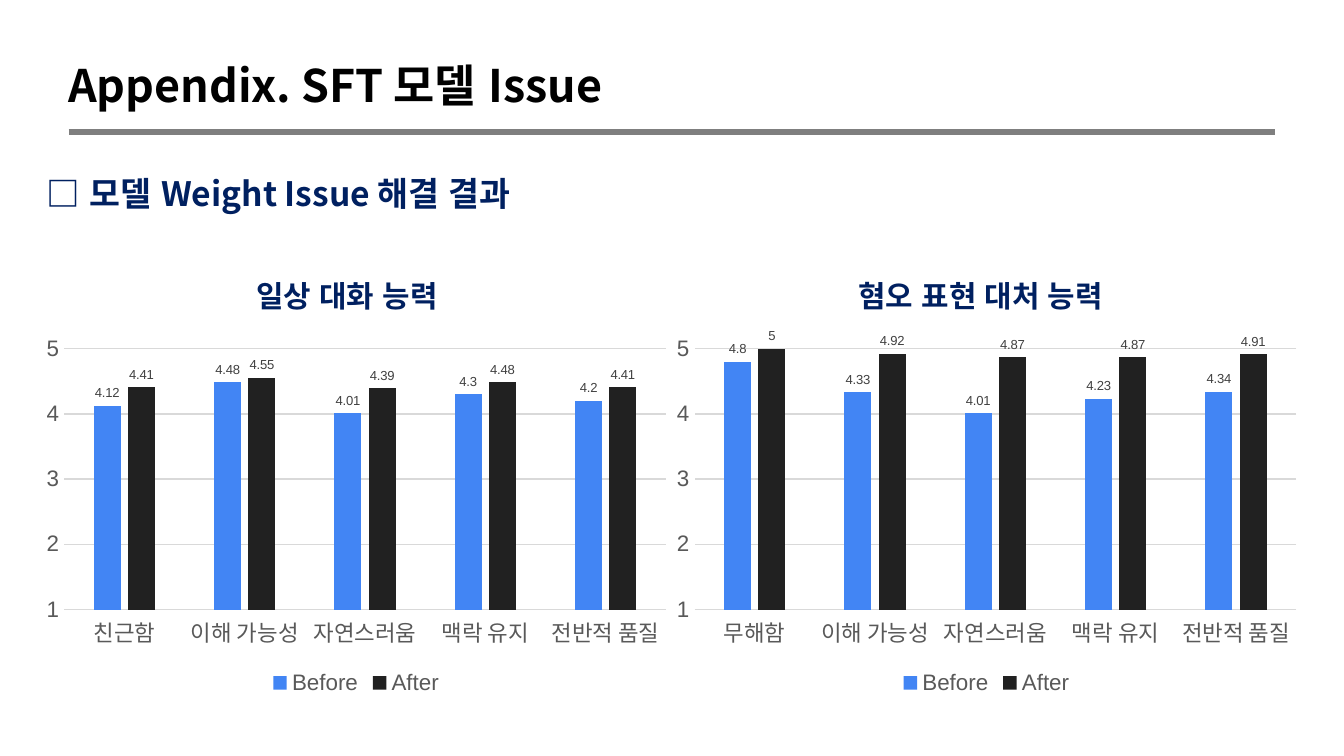
from dataclasses import dataclass

from lxml import etree
from pptx import Presentation, util as u
from pptx.chart.data import CategoryChartData
from pptx.dml.color import RGBColor
from pptx.enum import chart as ch, lang, shapes, text
from pptx.oxml import ns

Inches, Pt = u.Inches, u.Pt


@dataclass(frozen=True)
class Theme:
    korean_font: str = "Noto Sans CJK KR"
    chart_font: str = "Arial"
    black: RGBColor = RGBColor(0, 0, 0)
    navy: RGBColor = RGBColor(0x00, 0x20, 0x60)
    rule: RGBColor = RGBColor(0x7F, 0x7F, 0x7F)
    grid: RGBColor = RGBColor(0xD9, 0xD9, 0xD9)
    axis_text: RGBColor = RGBColor(0x59, 0x59, 0x59)
    label_text: RGBColor = RGBColor(0x40, 0x40, 0x40)
    before: RGBColor = RGBColor(0x42, 0x85, 0xF4)
    after: RGBColor = RGBColor(0x21, 0x21, 0x21)
    title_size: int = 24
    heading_size: int = 18
    chart_title_size: int = 16
    axis_size: int = 12
    chart_size: int = 10
    label_size: int = 7


theme = Theme()
prs = Presentation()
# Widescreen, 16:9
prs.slide_width, prs.slide_height = Inches(10), Inches(10 * 9 / 16)
slide = prs.slides.add_slide(prs.slide_layouts[6])


def add_text(content, left, top, width, height, *, size, color,
             spacing=1.0, inset=0.05):
    box = slide.shapes.add_textbox(Inches(left), Inches(top), Inches(width), Inches(height))
    frame = box.text_frame
    frame.word_wrap = True
    frame.auto_size = text.MSO_AUTO_SIZE.SHAPE_TO_FIT_TEXT
    frame.margin_top = frame.margin_bottom = Inches(inset)
    paragraph = frame.paragraphs[0]
    paragraph.line_spacing = spacing
    run = paragraph.add_run()
    run.text = content
    set_font(run.font, size, color, theme.korean_font)
    run.font.bold = True
    run.font.language_id = lang.MSO_LANGUAGE_ID.KOREAN
    # Korean glyphs take the East Asian typeface
    etree.SubElement(run.font._element, ns.qn("a:ea"), typeface=theme.korean_font)


def set_font(font, size, color, name=theme.chart_font):
    font.name, font.size = name, Pt(size)
    font.color.rgb = color


# Title and rule
title_rule = slide.shapes.add_connector(
    shapes.MSO_CONNECTOR.STRAIGHT, Inches(0.51), Inches(0.98), Inches(9.49), Inches(0.98))
title_rule.line.color.rgb = theme.rule
title_rule.line.width = Pt(3)
etree.SubElement(title_rule._element.spPr, ns.qn("a:effectLst"))
add_text("Appendix. SFT 모델 Issue", 0.41, 0.21, 6.62, 0.73,
         size=theme.title_size, color=theme.black, spacing=1.3, inset=0.1)

# Section heading
add_text("□ 모델 Weight Issue 해결 결과", 0.25, 1.04, 9.64, 0.66,
         size=theme.heading_size, color=theme.navy, spacing=1.5, inset=0.1)

# Before/after charts: title, title left, title width, chart left, first category, scores
shared_categories = ["이해 가능성", "자연스러움", "맥락 유지", "전반적 품질"]
evaluations = [
    ("일상 대화 능력", 1.81, 1.67, 0.25, "친근함",
     [4.12, 4.48, 4.01, 4.3, 4.2], [4.41, 4.55, 4.39, 4.48, 4.41]),
    ("혐오 표현 대처 능력", 6.29, 2.1, 4.94, "무해함",
     [4.8, 4.33, 4.01, 4.23, 4.34], [5, 4.92, 4.87, 4.87, 4.91]),
]
for name, name_left, name_width, chart_left, first_category, before, after in evaluations:
    scores = CategoryChartData()
    scores.categories = [first_category, *shared_categories]
    scores.add_series("Before", before)
    scores.add_series("After", after)
    chart = slide.shapes.add_chart(
        ch.XL_CHART_TYPE.COLUMN_CLUSTERED, Inches(chart_left), Inches(2.45),
        Inches(4.8), Inches(2.76), scores).chart
    chart.has_title = False
    set_font(chart.font, theme.chart_size, theme.black)

    # Legend
    chart.has_legend = True
    chart.legend.position = ch.XL_LEGEND_POSITION.BOTTOM
    chart.legend.include_in_layout = False
    set_font(chart.legend.font, theme.axis_size, theme.axis_text)

    # Axes
    for axis in (chart.category_axis, chart.value_axis):
        axis.major_tick_mark = axis.minor_tick_mark = ch.XL_TICK_MARK.NONE
        set_font(axis.tick_labels.font, theme.axis_size, theme.axis_text)
    score_axis = chart.value_axis
    score_axis.minimum_scale, score_axis.maximum_scale = 1, 5
    score_axis.major_unit = 1
    score_axis.format.line.fill.background()
    score_axis.has_major_gridlines = True
    for line in (chart.category_axis.format.line, score_axis.major_gridlines.format.line):
        line.color.rgb = theme.grid
        line.width = Pt(0.75)

    # Columns and value labels
    plot = chart.plots[0]
    plot.gap_width, plot.overlap = 219, -27
    plot.vary_by_categories = False
    for series, color in zip(plot.series, (theme.before, theme.after)):
        series.format.fill.solid()
        series.format.fill.fore_color.rgb = color
        series.invert_if_negative = False
        labels = series.data_labels
        labels.show_value = True
        labels.position = ch.XL_LABEL_POSITION.OUTSIDE_END
        set_font(labels.font, theme.label_size, theme.label_text)

    add_text(name, name_left, 2.02, name_width, 0.37,
             size=theme.chart_title_size, color=theme.navy)

prs.save("out.pptx")
